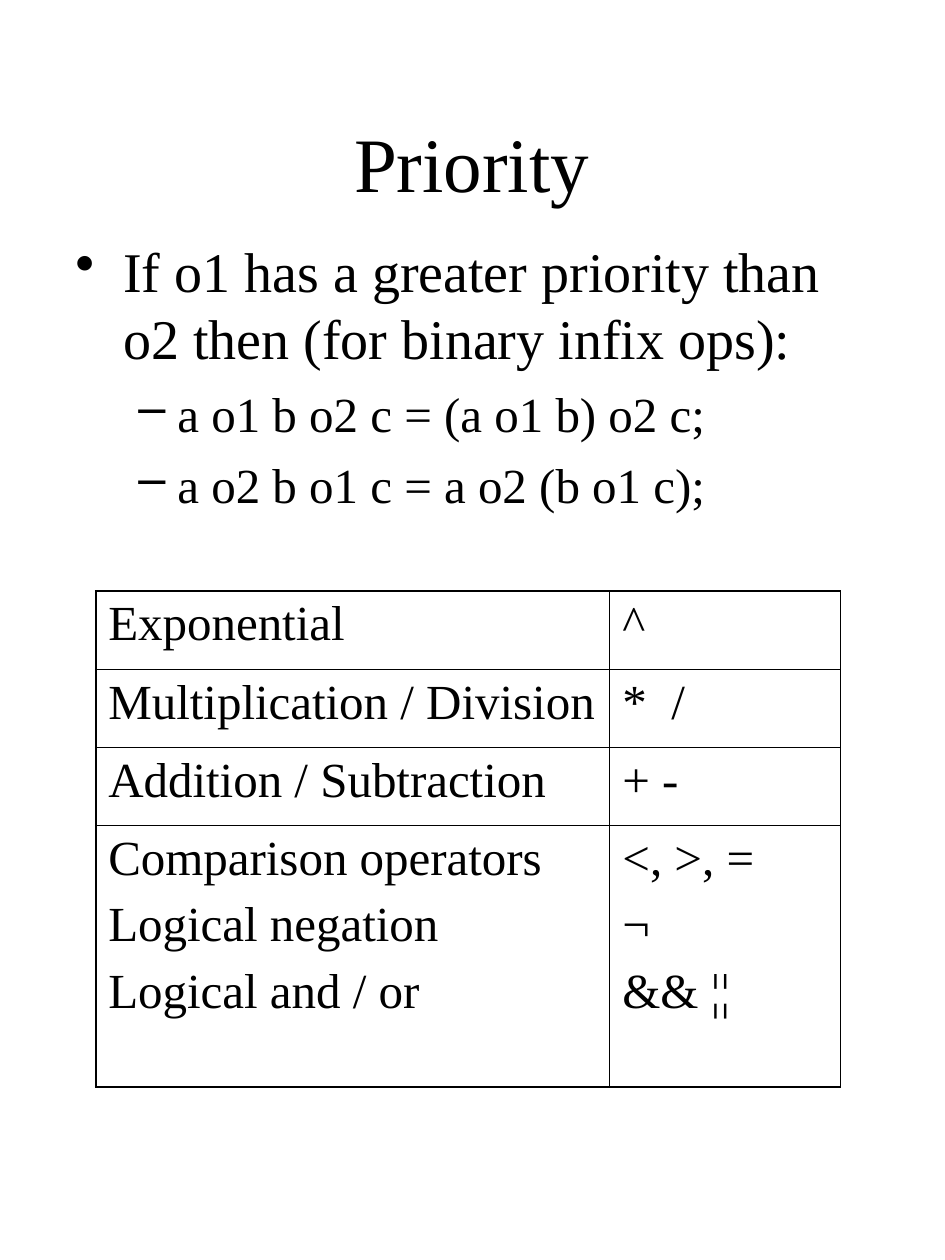
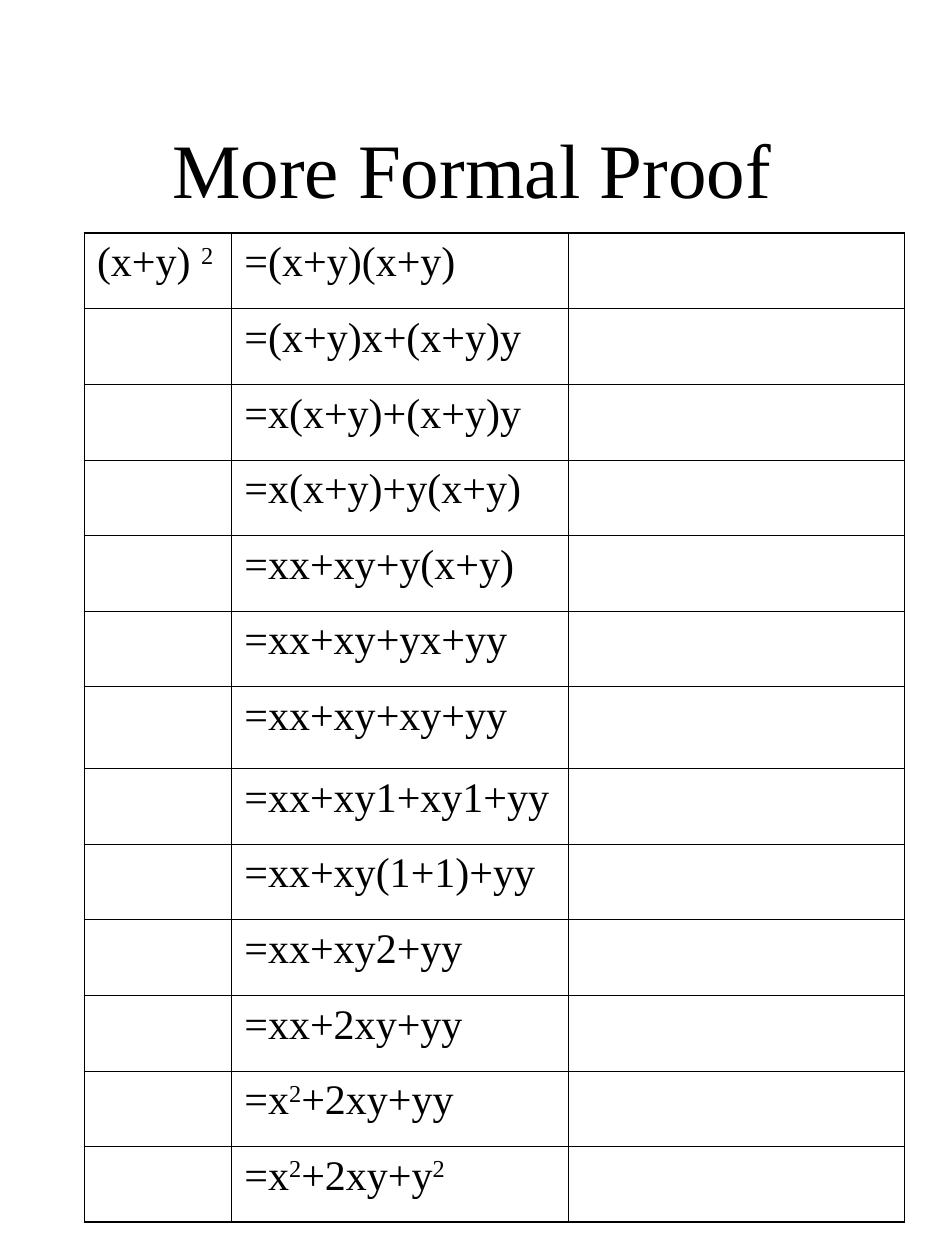
from lxml.etree import SubElement
from pptx import Presentation
from pptx.dml.color import RGBColor
from pptx.enum.text import MSO_ANCHOR, PP_ALIGN
from pptx.oxml.ns import qn
from pptx.util import Inches, Pt

FONT = "Times New Roman"
INK = "000000"
OUTER_LINE, INNER_LINE = Pt(1.08), Pt(0.45)

# Per outline level: bullet, size, space before, text margin, hanging indent
LEVELS = [("•", 32, 8, 0.38, 0.38), ("–", 28, 7, 0.81, 0.31)]

PRIORITY_RULES = [
    (0, "If o1 has a greater priority than o2 then (for binary infix ops):"),
    (1, "a o1 b o2 c = (a o1 b) o2 c;"),
    (1, "a o2 b o1 c = a o2 (b o1 c);"),
]
OPERATORS = [
    ("Exponential", "^"),
    ("Multiplication / Division", "*  /"),
    ("Addition / Subtraction", "+ -"),
    ("Comparison operators\nLogical negation\nLogical and / or", "<, >, =\n¬\n&& ¦¦"),
]
# "²" marks a superscript 2
PROOF_START = "(x+y) ²"
PROOF_STEPS = [
    "=(x+y)(x+y)",
    "=(x+y)x+(x+y)y",
    "=x(x+y)+(x+y)y",
    "=x(x+y)+y(x+y)",
    "=xx+xy+y(x+y)",
    "=xx+xy+yx+yy",
    "=xx+xy+xy+yy",
    "=xx+xy1+xy1+yy",
    "=xx+xy(1+1)+yy",
    "=xx+xy2+yy",
    "=xx+2xy+yy",
    "=x²+2xy+yy",
    "=x²+2xy+y²",
]


def color(hex_code):
    return RGBColor.from_string(hex_code)


def style(paragraph, size, space_before=0):
    paragraph.font.name = FONT
    paragraph.font.size = Pt(size)
    paragraph.font.color.rgb = color(INK)
    paragraph.space_before = Pt(space_before)


def write(paragraph, text):
    """Add the text as runs, turning each ² into a raised 2."""
    for index, part in enumerate(text.split("²")):
        if index:
            raised = paragraph.add_run()
            raised.text = "2"
            raised.font._element.set("baseline", "30000")
        if part:
            paragraph.add_run().text = part


def paragraphs(frame, count):
    """Yield the frame's first paragraph, then new ones up to count."""
    yield frame.paragraphs[0]
    for _ in range(count - 1):
        yield frame.add_paragraph()


def add_text_frame(slide, left, top, width, height):
    frame = slide.shapes.add_textbox(
        Inches(left), Inches(top), Inches(width), Inches(height)).text_frame
    frame.word_wrap = True
    return frame


def add_titled_slide(deck, title, title_height):
    slide = deck.slides.add_slide(deck.slide_layouts[6])
    frame = add_text_frame(slide, 0.56, 0.89, 6.37, title_height)
    frame.vertical_anchor = MSO_ANCHOR.MIDDLE
    heading = frame.paragraphs[0]
    heading.text = title
    heading.alignment = PP_ALIGN.CENTER
    style(heading, 44)
    return slide


def add_outline(slide, items):
    frame = add_text_frame(slide, 0.5, 1.83, 6.6, 6)
    for paragraph, (level, text) in zip(paragraphs(frame, len(items)), items):
        bullet, size, space_before, margin, hanging = LEVELS[level]
        paragraph.text = text
        paragraph.level = level
        style(paragraph, size, space_before)
        properties = paragraph._p.get_or_add_pPr()
        properties.set("marL", str(Inches(margin)))
        properties.set("indent", str(-Inches(hanging)))
        mark = properties.makeelement(qn("a:buChar"), {"char": bullet})
        properties.find(qn("a:defRPr")).addprevious(mark)


def draw_borders(cell, outer_sides):
    properties = cell._tc.get_or_add_tcPr()
    for side, is_outer in outer_sides.items():
        width = OUTER_LINE if is_outer else INNER_LINE
        line = SubElement(properties, qn(f"a:ln{side}"), w=str(width))
        fill = SubElement(line, qn("a:solidFill"))
        SubElement(fill, qn("a:srgbClr"), val=INK)


def add_grid(slide, left, top, widths, heights, rows, size, space_before):
    """Add a table with a heavy frame and thin inner rules."""
    table = slide.shapes.add_table(
        len(heights), len(widths), Inches(left), Inches(top),
        Inches(sum(widths)), Inches(sum(heights))).table
    table.first_row = table.horz_banding = False
    for column, width in zip(table.columns, widths):
        column.width = Inches(width)
    for r, (height, texts) in enumerate(zip(heights, rows)):
        table.rows[r].height = Inches(height)
        for c, text in enumerate(texts):
            cell = table.cell(r, c)
            draw_borders(cell, {"L": c == 0, "R": c == len(widths) - 1,
                                "T": r == 0, "B": r == len(heights) - 1})
            cell.fill.background()
            lines = text.split("\n")
            for paragraph, line in zip(paragraphs(cell.text_frame, len(lines)), lines):
                style(paragraph, size, space_before)
                write(paragraph, line)


def main():
    deck = Presentation()
    deck.slide_width, deck.slide_height = Inches(7.5), Inches(10)

    priority = add_titled_slide(deck, "Priority", 0.78)
    add_outline(priority, PRIORITY_RULES)
    add_grid(priority, 0.76, 4.69, [4.08, 1.83], [0.62] * 3 + [2.08],
             OPERATORS, 28, 7)

    proof = add_titled_slide(deck, "More Formal Proof", 0.88)
    proof_rows = [(PROOF_START if i == 0 else "", step, "")
                  for i, step in enumerate(PROOF_STEPS)]
    add_grid(proof, 0.67, 1.85, [1.17, 2.67, 2.67], [0.6] * 6 + [0.65] + [0.6] * 6,
             proof_rows, 24, 6)

    deck.save("out.pptx")


if __name__ == "__main__":
    main()
